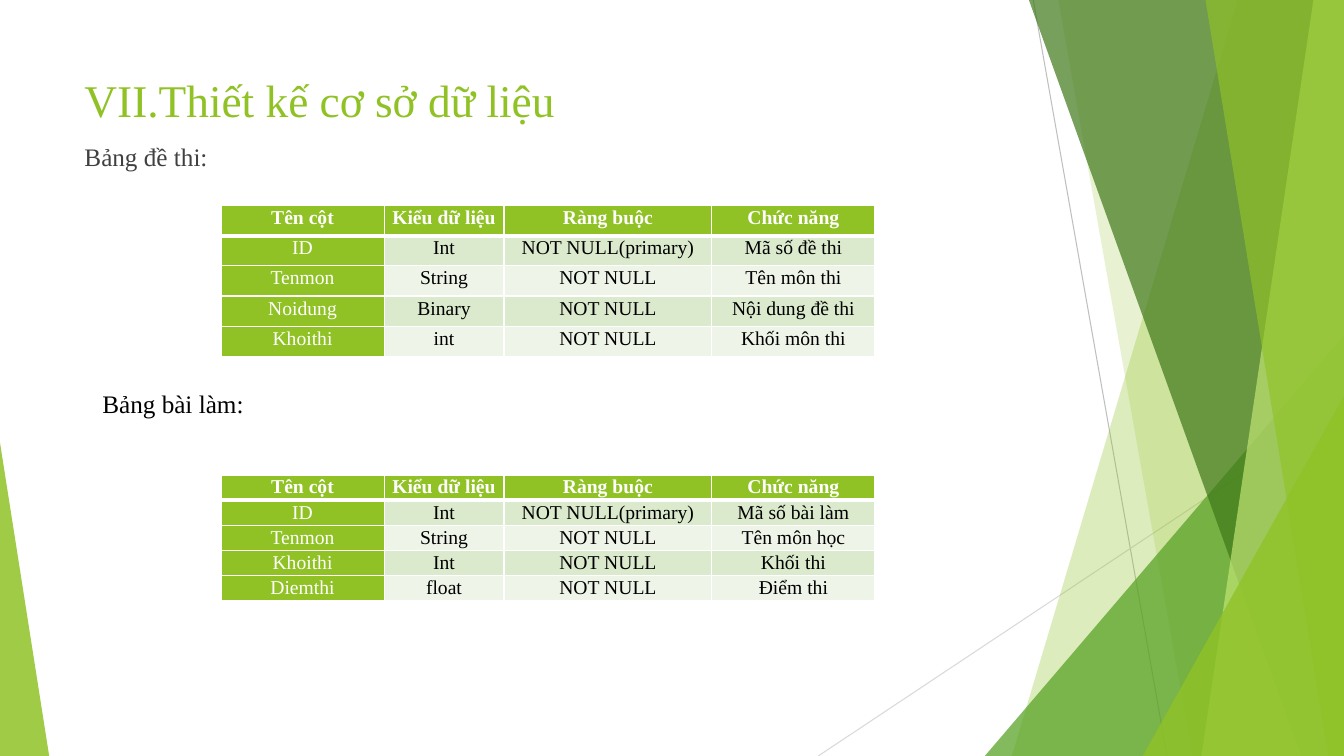
from dataclasses import dataclass

from lxml import etree
from pptx import Presentation
from pptx.dml.color import RGBColor
from pptx.enum.shapes import MSO_CONNECTOR, MSO_SHAPE
from pptx.enum.text import PP_ALIGN
from pptx.oxml.ns import qn
from pptx.util import Cm, Pt

STRAIGHT = MSO_CONNECTOR.STRAIGHT
TRIANGLE = MSO_SHAPE.ISOSCELES_TRIANGLE
CENTER = PP_ALIGN.CENTER
BLANK_LAYOUT = 6


@dataclass(frozen=True)
class Theme:
    font: str = "Times New Roman"
    title_size: float = 32.4
    label_size: float = 18
    cell_size: float = 14
    lime: str = "90C226"
    green: str = "54A021"
    forest: str = "3F7819"
    pale_lime: str = "C0E474"
    band_dark: str = "DBE9CD"
    band_light: str = "EEF4E8"
    grey_line: str = "BFBFBF"
    light_line: str = "D9D9D9"
    body: str = "404040"
    black: str = "000000"
    white: str = "FFFFFF"


@dataclass(frozen=True)
class Box:
    """A region of the slide, in centimetres."""
    left: float
    top: float
    width: float
    height: float

    @property
    def right(self):
        return self.left + self.width

    @property
    def bottom(self):
        return self.top + self.height

    def lengths(self):
        return Cm(self.left), Cm(self.top), Cm(self.width), Cm(self.height)


THEME = Theme()
PAGE = Box(0, 0, 33.87, 19.05)

COLUMN_WIDTHS = (4.11, 3.02, 5.24, 4.11)
HEADINGS = ("Tên cột", "Kiểu dữ liệu", "Ràng buộc", "Chức năng")
EXAM_ROWS = (
    HEADINGS,
    ("ID", "Int", "NOT NULL(primary)", "Mã số đề thi"),
    ("Tenmon", "String", "NOT NULL", "Tên môn thi"),
    ("Noidung", "Binary", "NOT NULL", "Nội dung đề thi"),
    ("Khoithi", "int", "NOT NULL", "Khối môn thi"),
)
ANSWER_ROWS = (
    HEADINGS,
    ("ID", "Int", "NOT NULL(primary)", "Mã số bài làm"),
    ("Tenmon", "String", "NOT NULL", "Tên môn học"),
    ("Khoithi", "Int", "NOT NULL", "Khối thi"),
    ("Diemthi", "float", "NOT NULL", "Điểm thi"),
)


def paint(shape, color, opacity):
    """Fill a shape with a see-through colour, without outline or shadow."""
    shape.shadow.inherit = False
    shape.line.fill.background()
    shape.fill.solid()
    shape.fill.fore_color.rgb = RGBColor.from_string(color)
    tint = shape.fill._xPr.find(".//" + qn("a:srgbClr"))
    etree.SubElement(tint, qn("a:alpha"), val=str(opacity * 1000))


def add_hairline(page, start, end, color):
    line = page.shapes.add_connector(STRAIGHT, *map(Cm, start + end))
    line.line.color.rgb = RGBColor.from_string(color)
    line.line.width = Pt(0.75)
    etree.SubElement(line._element.spPr, qn("a:effectLst"))


def add_facet(page, box, top_x, bottom_x, color, opacity):
    """Add a full-height facet with a slanted left edge."""
    builder = page.shapes.build_freeform(Cm(box.left + top_x), Cm(box.top))
    corners = ((box.right, box.top), (box.right, box.bottom),
               (box.left + bottom_x, box.bottom))
    builder.add_line_segments([(Cm(x), Cm(y)) for x, y in corners], close=True)
    paint(builder.convert_to_shape(), color, opacity)


def add_corner(page, box, peak, color, opacity):
    """Add a right triangle whose peak is at the left (0) or right (1)."""
    corner = page.shapes.add_shape(TRIANGLE, *box.lengths())
    corner.adjustments[0] = peak
    paint(corner, color, opacity)


def add_backdrop(page, box):
    def bottom_corner(left, width, height):
        return Box(left, box.bottom - height, width, height)

    add_hairline(page, (box.left + 26.04, box.top),
                 (box.left + 29.41, box.bottom), THEME.grey_line)
    add_hairline(page, (box.right, box.top + 10.24),
                 (box.left + 20.62, box.bottom), THEME.light_line)
    add_facet(page, box, 31.19, 25.5, THEME.lime, 30)
    add_facet(page, box, 26.67, 30.05, THEME.lime, 20)
    add_corner(page, bottom_corner(box.right - 9.05, 9.05, 10.59), 1, THEME.green, 72)
    add_facet(page, box, 25.93, 32.79, THEME.forest, 70)
    add_facet(page, box, 33.1, 30.28, THEME.pale_lime, 70)
    add_facet(page, box, 30.38, 33.48, THEME.lime, 65)
    add_corner(page, bottom_corner(box.right - 5.07, 5.07, 9.07), 1, THEME.lime, 80)
    add_corner(page, bottom_corner(box.left, 1.24, 7.9), 0, THEME.lime, 85)


def add_span(para, text, size, color, bold=False):
    span = para.add_run()
    span.text = text
    span.font.name = THEME.font
    span.font.size = Pt(size)
    span.font.bold = bold
    span.font.color.rgb = RGBColor.from_string(color)


def add_label(page, box, text, size, color):
    frame = page.shapes.add_textbox(*box.lengths()).text_frame
    frame.word_wrap = True
    add_span(frame.paragraphs[0], text, size, color)


def add_border(cell, side, points):
    line = etree.SubElement(cell._tc.get_or_add_tcPr(), qn("a:ln" + side),
                            w=str(Pt(points)))
    fill = etree.SubElement(line, qn("a:solidFill"))
    etree.SubElement(fill, qn("a:srgbClr"), val=THEME.white)


def style_cell(cell, text, row, column):
    is_header = row == 0
    is_lime = is_header or column == 0
    band = THEME.band_dark if row % 2 else THEME.band_light
    cell.margin_left = cell.margin_right = Cm(0.18)
    cell.margin_top = cell.margin_bottom = 0
    for side in "LRTB":
        under_header = (side, row) in (("B", 0), ("T", 1))
        add_border(cell, side, 3 if under_header else 1)
    cell.fill.solid()
    cell.fill.fore_color.rgb = RGBColor.from_string(THEME.lime if is_lime else band)
    para = cell.text_frame.paragraphs[0]
    para.alignment = CENTER
    para.line_spacing = 1.07
    add_span(para, text, THEME.cell_size,
             THEME.white if is_lime else THEME.black, is_header)


def add_schema_table(page, box, rows):
    table = page.shapes.add_table(len(rows), len(COLUMN_WIDTHS), *box.lengths()).table
    for column, width in zip(table.columns, COLUMN_WIDTHS):
        column.width = Cm(width)
    for row, texts in enumerate(rows):
        table.rows[row].height = Cm(box.height / len(rows))
        for column, text in enumerate(texts):
            style_cell(table.cell(row, column), text, row, column)


def main():
    deck = Presentation()
    deck.slide_width, deck.slide_height = Cm(PAGE.width), Cm(PAGE.height)
    page = deck.slides.add_slide(deck.slide_layouts[BLANK_LAYOUT])
    table_width = sum(COLUMN_WIDTHS)

    add_backdrop(page, PAGE)
    add_label(page, Box(1.88, 1.7, 23.88, 1.75), "VII.Thiết kế cơ sở dữ liệu",
              THEME.title_size, THEME.lime)
    add_label(page, Box(1.88, 3.43, 23.88, 1.09), "Bảng đề thi:",
              THEME.label_size, THEME.body)
    add_schema_table(page, Box(5.57, 5.18, table_width, 3.8), EXAM_ROWS)
    add_label(page, Box(2.33, 9.65, 4.11, 1.02), "Bảng bài làm:",
              THEME.label_size, THEME.black)
    add_schema_table(page, Box(5.57, 11.97, table_width, 3.15), ANSWER_ROWS)
    deck.save("out.pptx")


if __name__ == "__main__":
    main()
